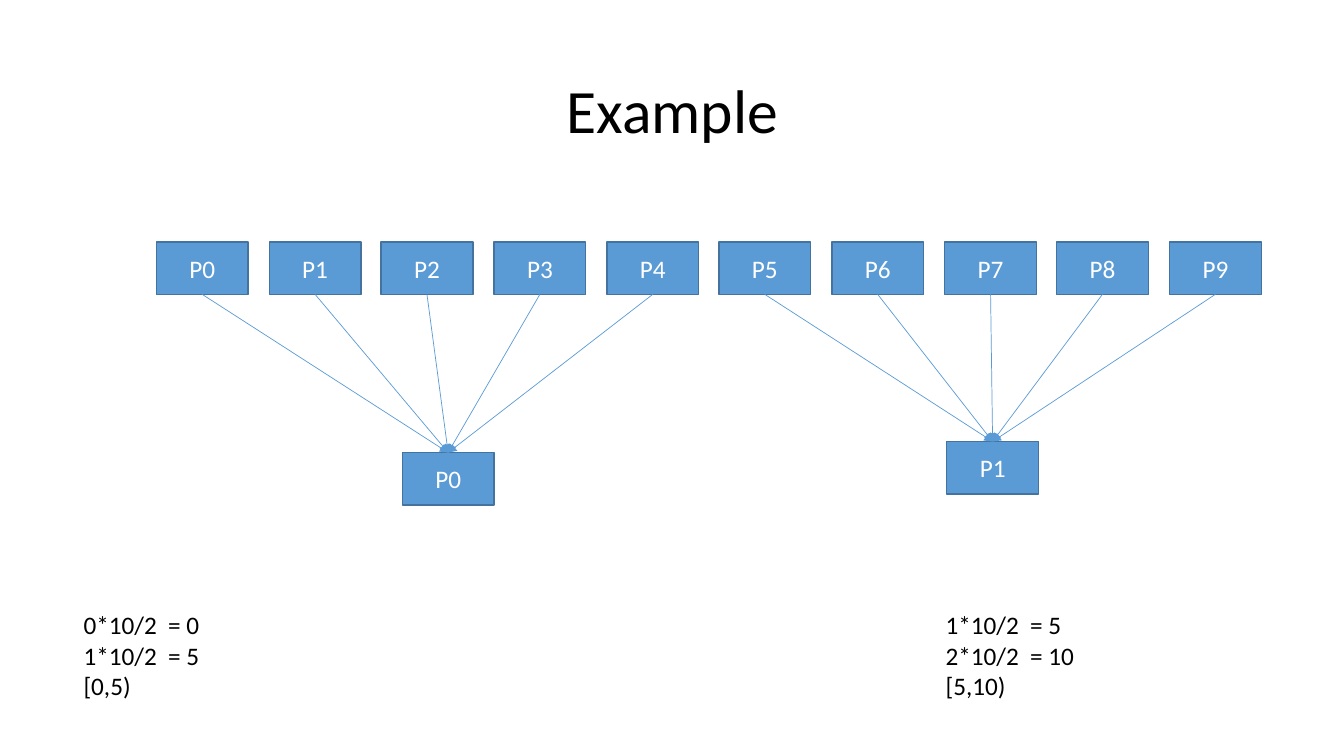
from dataclasses import dataclass

import pptx
import pptx.dml.color
import pptx.enum.shapes
import pptx.enum.text
import pptx.oxml.ns
import pptx.util
from lxml import etree
from pptx.shapes.autoshape import Shape
from pptx.slide import Slide
from pptx.text.text import TextFrame

EMU_PER_PX = 9144
BOX_WIDTH, BOX_HEIGHT = 91, 52
ROW_LEFT, ROW_RIGHT, ROW_TOP = 155, 1160, 240
BOTTOM_SITE, TOP_SITE = 2, 0


@dataclass(frozen=True)
class Theme:
    font: str = "Calibri"
    text: str = "000000"
    box_text: str = "FFFFFF"
    fill: str = "5B9BD5"
    outline: str = "43739E"
    title_size: int = 44
    body_size: int = 18
    outline_width: float = 1
    arrow_width: float = 0.5


@dataclass(frozen=True)
class Group:
    name: str
    left: int
    top: int
    note_left: int
    note: str


THEME = Theme()
GROUPS = [
    Group("P0", 399, 449, 73, "0*10/2  = 0\n1*10/2  = 5\n[0,5)"),
    Group("P1", 939, 438, 928, "1*10/2  = 5\n2*10/2  = 10\n[5,10)"),
]
GROUP_SIZE = 5


def px(length: int) -> pptx.util.Emu:
    return pptx.util.Emu(length * EMU_PER_PX)


def color(code: str) -> pptx.dml.color.RGBColor:
    return pptx.dml.color.RGBColor.from_string(code)


def write(frame: TextFrame, text: str, *, size: int = THEME.body_size,
          ink: str = THEME.text, centered: bool = False,
          middle: bool = False, spacing: float = 1.0) -> None:
    align = pptx.enum.text.PP_ALIGN
    anchor = pptx.enum.text.MSO_ANCHOR
    frame.text = text
    frame.word_wrap = True
    frame.vertical_anchor = anchor.MIDDLE if middle else anchor.TOP
    for para in frame.paragraphs:
        para.alignment = align.CENTER if centered else align.LEFT
        para.line_spacing = spacing
        for span in para.runs:
            span.font.name = THEME.font
            span.font.size = pptx.util.Pt(size)
            span.font.color.rgb = color(ink)


def add_title(page: Slide, text: str) -> None:
    title = page.shapes.title
    title.left, title.top = px(92), px(40)
    title.width, title.height = px(1150), px(145)
    write(title.text_frame, text, size=THEME.title_size, centered=True,
          middle=True, spacing=0.9)


def add_box(page: Slide, name: str, left: int, top: int) -> Shape:
    box = page.shapes.add_shape(
        pptx.enum.shapes.MSO_SHAPE.RECTANGLE,
        px(left), px(top), px(BOX_WIDTH), px(BOX_HEIGHT))
    box.shadow.inherit = False
    box.fill.solid()
    box.fill.fore_color.rgb = color(THEME.fill)
    box.line.color.rgb = color(THEME.outline)
    box.line.width = pptx.util.Pt(THEME.outline_width)
    write(box.text_frame, name, ink=THEME.box_text, centered=True, middle=True)
    return box


def add_arrow(page: Slide, source: Shape, target: Shape) -> None:
    arrow = page.shapes.add_connector(
        pptx.enum.shapes.MSO_CONNECTOR.STRAIGHT, 0, 0, 0, 0)
    arrow.begin_connect(source, BOTTOM_SITE)
    arrow.end_connect(target, TOP_SITE)
    arrow.line.color.rgb = color(THEME.fill)
    arrow.line.width = pptx.util.Pt(THEME.arrow_width)
    qn = pptx.oxml.ns.qn
    properties = arrow.element.spPr
    etree.SubElement(properties.find(qn("a:ln")), qn("a:tailEnd"), type="triangle")
    etree.SubElement(properties, qn("a:effectLst"))


def add_note(page: Slide, text: str, left: int) -> None:
    note = page.shapes.add_textbox(px(left), px(600), px(371), px(101))
    write(note.text_frame, text)
    note.text_frame.auto_size = pptx.enum.text.MSO_AUTO_SIZE.SHAPE_TO_FIT_TEXT


def main() -> None:
    deck = pptx.Presentation()
    deck.slide_width, deck.slide_height = px(1333), px(750)
    page = deck.slides.add_slide(deck.slide_layouts.get_by_name("Title Only"))
    add_title(page, "Example")

    count = GROUP_SIZE * len(GROUPS)
    pitch = (ROW_RIGHT - ROW_LEFT) / (count - 1)
    sources = [add_box(page, f"P{index}", round(ROW_LEFT + index * pitch), ROW_TOP)
               for index in range(count)]
    for number, group in enumerate(GROUPS):
        target = add_box(page, group.name, group.left, group.top)
        first = number * GROUP_SIZE
        for source in sources[first:first + GROUP_SIZE]:
            add_arrow(page, source, target)
        add_note(page, group.note, group.note_left)
    deck.save("out.pptx")


if __name__ == "__main__":
    main()
